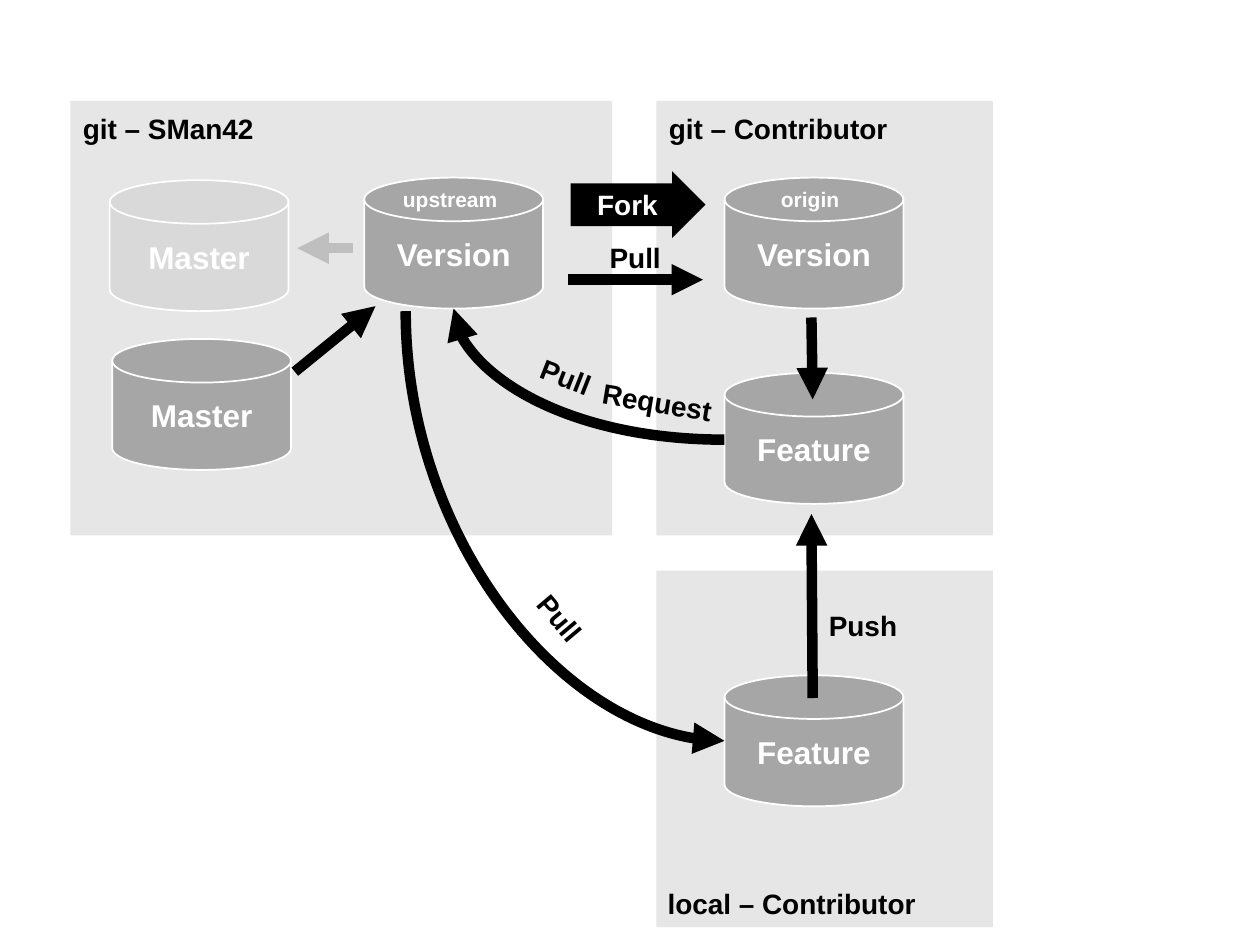
import pptx
import pptx.util
import pptx.dml.color
import pptx.enum.shapes
import pptx.enum.text
import pptx.oxml
import pptx.oxml.ns

COLS, ROWS = 100, 75
HUES = {
    "black": "000000",
    "white": "FFFFFF",
    "panel": "E7E6E6",
    "disk": "A6A6A6",
    "pale": "D9D9D9",
    "mute": "BFBFBF",
}
KIND = pptx.enum.shapes.MSO_SHAPE
LINK = pptx.enum.shapes.MSO_CONNECTOR
ALIGN = pptx.enum.text.PP_ALIGN


class Board:
    face = "Arial"

    def __init__(self, deck):
        self.wide = deck.slide_width / COLS
        self.high = deck.slide_height / ROWS
        self.slide = deck.slides.add_slide(deck.slide_layouts[6])

    def place(self, x, y, w, h):
        return (round(x * self.wide), round(y * self.high),
                round(w * self.wide), round(h * self.high))

    def hue(self, name):
        return pptx.dml.color.RGBColor.from_string(HUES[name])

    def letter(self, frame, text, size, hue, align):
        para = frame.paragraphs[0]
        para.text = text
        para.alignment = align
        para.font.name = self.face
        para.font.size = pptx.util.Pt(size)
        para.font.bold = True
        para.font.color.rgb = self.hue(hue)

    def shape(self, kind, box, fill, text="", size=18, edge=None):
        item = self.slide.shapes.add_shape(kind, *self.place(*box))
        item.shadow.inherit = False
        item.fill.solid()
        item.fill.fore_color.rgb = self.hue(fill)
        if edge:
            item.line.color.rgb = self.hue(edge)
            item.line.width = pptx.util.Pt(1)
        else:
            item.line.fill.background()
        if text:
            frame = item.text_frame
            frame.vertical_anchor = pptx.enum.text.MSO_ANCHOR.MIDDLE
            self.letter(frame, text, size, "white", ALIGN.CENTER)
        return item

    def panel(self, *box):
        self.shape(KIND.RECTANGLE, box, "panel")

    def disk(self, text, x, y, fill="disk"):
        self.shape(KIND.FLOWCHART_MAGNETIC_DISK, (x, y, 14.2, 10.4),
                   fill, text, edge="white")

    def block(self, text, *box):
        item = self.shape(KIND.RIGHT_ARROW, box, "black", text, 16)
        item.adjustments[0] = 0.64
        item.adjustments[1] = 0.5

    def label(self, text, x, y, w, h=3.7, size=16, hue="black", turn=0):
        item = self.slide.shapes.add_textbox(*self.place(x, y, w, h))
        item.rotation = turn
        frame = item.text_frame
        frame.word_wrap = False
        frame.auto_size = pptx.enum.text.MSO_AUTO_SIZE.SHAPE_TO_FIT_TEXT
        self.letter(frame, text, size, hue, ALIGN.LEFT)

    def arrow(self, start, end, hue="black", kind=LINK.STRAIGHT):
        item = self.slide.shapes.add_connector(
            kind, *self.place(*start, *end))
        item.line.color.rgb = self.hue(hue)
        item.line.width = pptx.util.Pt(6)
        space = pptx.oxml.ns.nsdecls("a")
        props = item._element.spPr
        props.find(pptx.oxml.ns.qn("a:ln")).append(
            pptx.oxml.parse_xml(f'<a:tailEnd {space} type="triangle"/>'))
        props.append(pptx.oxml.parse_xml(f"<a:effectLst {space}/>"))
        return item

    def curve(self, start, end, drop=False):
        if drop:
            midx, midy = (start[0] + end[0]) / 2, (start[1] + end[1]) / 2
            halfx, halfy = (end[1] - start[1]) / 2, (end[0] - start[0]) / 2
            start = midx + halfx, midy - halfy
            end = midx - halfx, midy + halfy
        item = self.arrow(start, end, kind=LINK.CURVE)
        props = item._element.spPr
        props.find(pptx.oxml.ns.qn("a:prstGeom")).set(
            "prst", "curvedConnector2")
        if drop:
            props.find(pptx.oxml.ns.qn("a:xfrm")).set("rot", str(270 * 60000))


def main():
    deck = pptx.Presentation()
    deck.slide_width = pptx.util.Inches(10)
    deck.slide_height = pptx.util.Inches(7.5)
    board = Board(deck)

    left, right, top = 5.6, 52.1, 8
    board.panel(left, top, 43, 34.5)
    board.panel(right, top, 26.7, 34.5)
    board.panel(right, 45.3, 26.7, 28.3)

    mid, far, upper = 28.9, 57.5, 14.1
    board.disk("Master", 8.7, 14.3, "pale")
    board.disk("Master", 8.9, 26.9)
    for text, x, y in (("Version", mid, upper), ("Version", far, upper),
                       ("Feature", far, 29.6), ("Feature", far, 53.6)):
        board.disk(text, x, y)
    board.block("Fork", 45.3, 13.6, 10.7, 5.3)

    board.curve((32.2, 24.7), (far, 58.8), drop=True)
    board.curve((far, 34.9), (36, 24.5))
    for start, end in (((64.5, 55.4), (64.4, 40.8)),
                       ((64.4, 25.2), (64.5, 31.7)),
                       ((23.4, 29.5), (29.8, 24.3)),
                       ((45.1, 22.2), (55.8, 22.2))):
        board.arrow(start, end)
    board.arrow((28, 19.7), (23.6, 19.7), "mute")

    board.label("git – SMan42", left, 8.4, 15.7)
    board.label("git – Contributor", right, 8.4, 19.6)
    board.label("local – Contributor", 52, 69.9, 22)
    for text, x, w in (("upstream", 31, 9.6), ("origin", 61, 6.7)):
        board.label(text, x, 14.3, w, 3, 12, "white")
    board.label("Push", 64.8, 47.8, 7.5)
    board.label("Request", 46.8, 30.1, 10.9, turn=9.5)
    for x, y, turn in ((41.4, 47.2, 50), (41.9, 28.1, 21.5), (47.4, 18.6, 0)):
        board.label("Pull", x, y, 6.1, turn=turn)

    deck.save("out.pptx")


if __name__ == "__main__":
    main()
